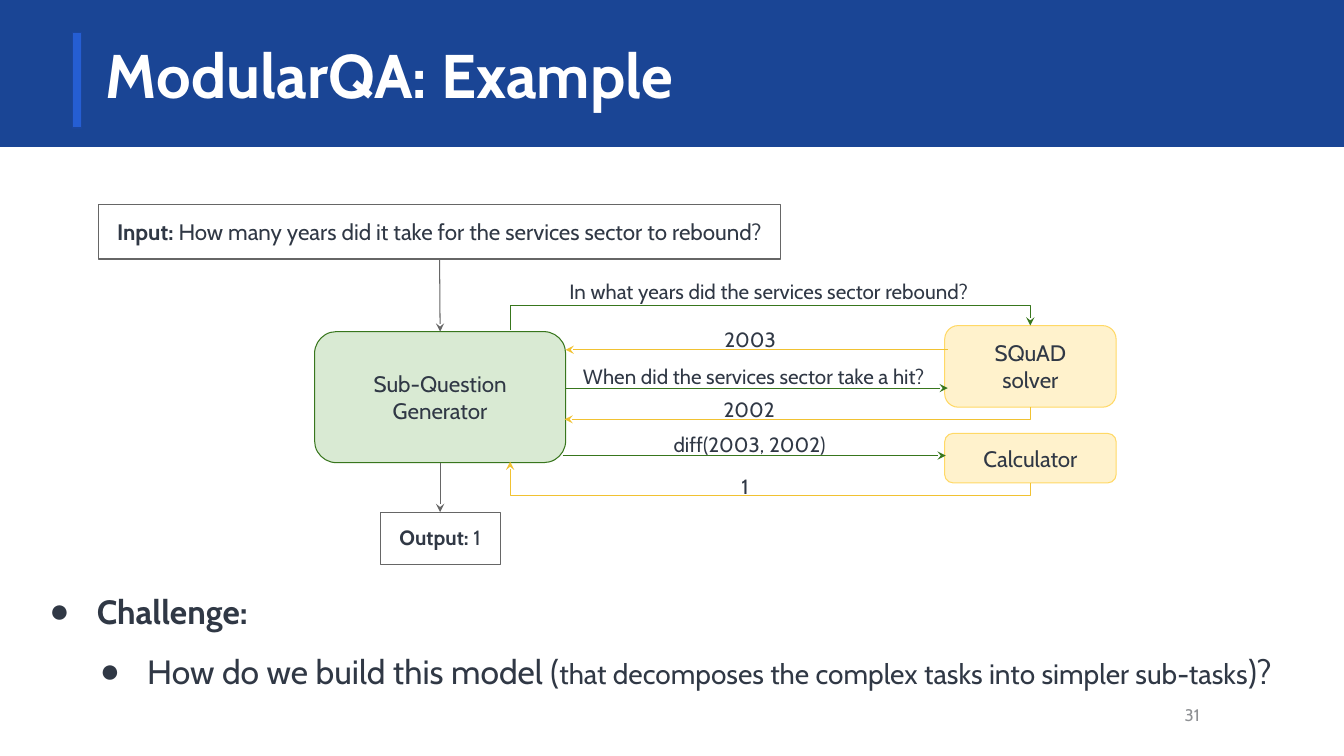
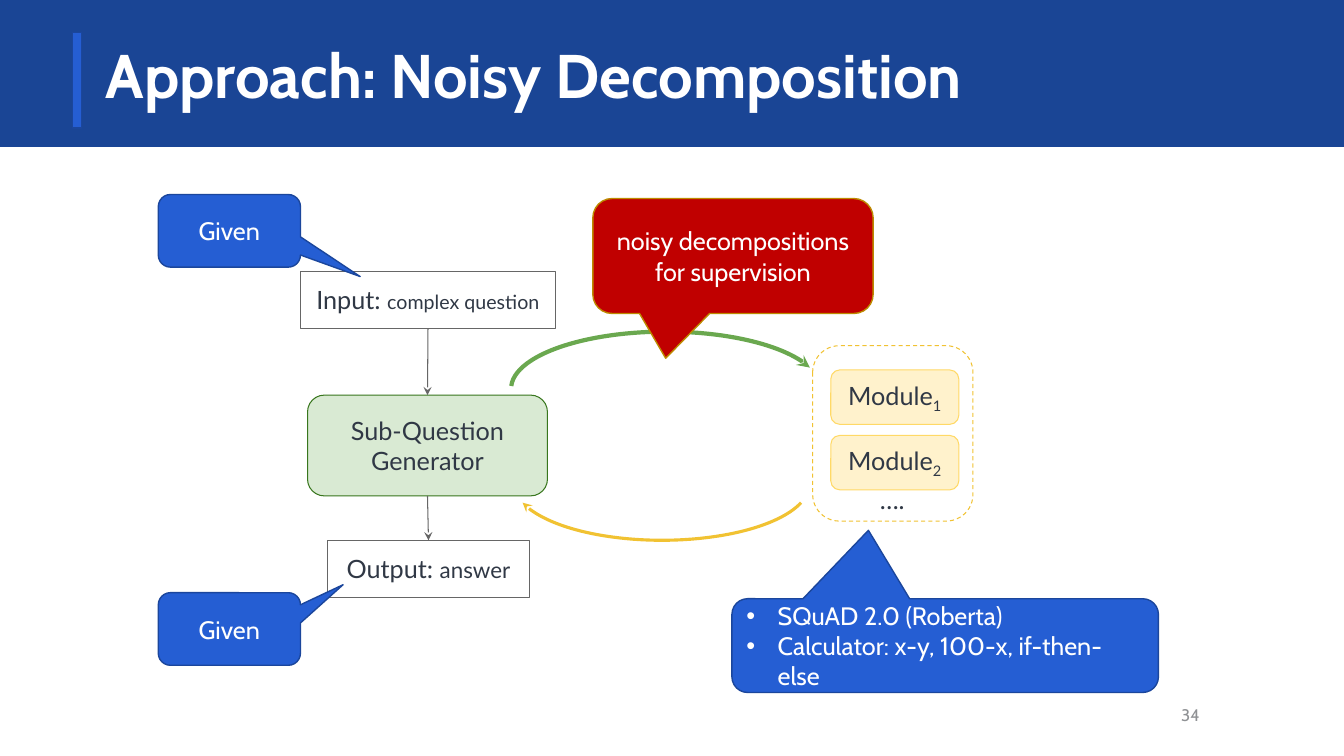
from dataclasses import dataclass
from typing import NamedTuple, Optional

from lxml.etree import SubElement
from pptx import Presentation
from pptx.dml.color import RGBColor
from pptx.enum.dml import MSO_LINE
from pptx.enum.shapes import MSO_CONNECTOR, MSO_SHAPE
from pptx.enum.text import MSO_ANCHOR, MSO_AUTO_SIZE, PP_ALIGN
from pptx.oxml.ns import qn
from pptx.util import Inches, Pt

NAVY = RGBColor(0x1A, 0x45, 0x95)
BLUE = RGBColor(0x25, 0x5E, 0xD3)
BLUE_EDGE = RGBColor(0x1B, 0x46, 0x9C)
RED = RGBColor(0xC0, 0x00, 0x00)
RED_EDGE = RGBColor(0xBD, 0x8A, 0x00)
GREEN = RGBColor(0x38, 0x76, 0x1D)
GREEN_ARC = RGBColor(0x6A, 0xA8, 0x4F)
GREEN_FILL = RGBColor(0xD9, 0xEA, 0xD3)
YELLOW = RGBColor(0xF1, 0xC2, 0x32)
YELLOW_EDGE = RGBColor(0xFF, 0xD9, 0x66)
YELLOW_FILL = RGBColor(0xFF, 0xF2, 0xCC)
INK = RGBColor(0x30, 0x38, 0x45)
GRAY = RGBColor(0x66, 0x66, 0x66)
NUMBER_GRAY = RGBColor(0x8F, 0x91, 0x94)
WHITE = RGBColor(0xFF, 0xFF, 0xFF)

CABIN, LATO = "Cabin", "Lato"
INSET = 0.13
THIN = 0.75


class Box(NamedTuple):
    left: float
    top: float
    width: float
    height: float


class Look(NamedTuple):
    fill: Optional[RGBColor]
    edge: RGBColor
    weight: float = THIN


class Run(NamedTuple):
    text: str
    size: Optional[float] = None
    bold: Optional[bool] = None
    subscript: bool = False


@dataclass(frozen=True)
class Label:
    text: str
    left: float
    top: float
    width: float


@dataclass(frozen=True)
class Arrow:
    start: tuple[float, float]
    end: tuple[float, float]
    color: RGBColor


@dataclass(frozen=True)
class Elbow:
    preset: str
    start: tuple[float, float]
    end: tuple[float, float]
    color: RGBColor
    arrow_at: str
    turn_y: Optional[float] = None


@dataclass(frozen=True)
class Arc:
    box: Box
    angles: tuple[float, float]
    look: Look
    rotation: int = 0


@dataclass(frozen=True)
class Callout:
    lines: list
    box: Box
    tip: tuple[float, float]
    look: Look
    bulleted: bool = False


PLAIN = Look(None, GRAY)
GENERATOR = Look(GREEN_FILL, GREEN)
SOLVER = Look(YELLOW_FILL, YELLOW_EDGE)
BLUE_CALLOUT = Look(BLUE, BLUE_EDGE, 1)
RED_CALLOUT = Look(RED, RED_EDGE, 1)

QUESTION_LABELS = [
    Label("In what years did the services sector rebound?", 5.4, 2.64, 4.45),
    Label("2003", 6.38, 3.11, 2.12),
    Label("When did the services sector take a hit?", 5.55, 3.48, 3.85),
    Label("2002", 6.71, 3.81, 1.44),
    Label("diff(2003, 2002)", 6.03, 4.15, 2.81),
    Label("1", 6.67, 4.57, 1.44),
]
QUESTION_ARROWS = [
    Arrow((9.4, 3.47), (5.61, 3.47), YELLOW),
    Arrow((5.61, 3.85), (9.4, 3.85), GREEN),
    Arrow((5.58, 4.52), (9.38, 4.52), GREEN),
]
QUESTION_ELBOWS = [
    Elbow("bentConnector4", (5.06, 3.27), (10.22, 3.23), GREEN, "tail", 3.03),
    Elbow("bentConnector2", (5.6, 4.16), (10.22, 4.04), YELLOW, "head"),
    Elbow("bentConnector4", (5.06, 4.58), (10.22, 4.79), YELLOW, "head", 4.92),
]
ARCS = [
    Arc(Box(5.1, 4.24, 2.93, 1.12), (112.62, 211.36), Look(None, YELLOW, 2.25), 180),
    Arc(Box(5.07, 3.29, 3.07, 1.13), (112.98, 215.43), Look(None, GREEN_ARC, 3)),
]
CALLOUTS = [
    Callout([[Run("Given")]], Box(1.57, 1.93, 1.41, 0.72), (0.92, 0.63), BLUE_CALLOUT),
    Callout([[Run("Given")]], Box(1.57, 5.88, 1.41, 0.72), (0.8, -0.61), BLUE_CALLOUT),
    Callout([[Run("noisy decompositions for supervision")]],
            Box(5.88, 1.97, 2.78, 1.14), (-0.24, 0.89), RED_CALLOUT),
    Callout([[Run("SQuAD 2.0 (Roberta)")],
             [Run("Calculator: x-y, 100-x, if-then-else")]],
            Box(7.26, 5.94, 4.23, 0.93), (-0.18, -1.23), BLUE_CALLOUT, True),
]


def inches(values) -> list:
    return [Inches(value) for value in values]


def add_bullet(paragraph, mark: str, color: RGBColor, left: float, hanging: float) -> None:
    properties = paragraph._p.get_or_add_pPr()
    properties.set("marL", str(Inches(left)))
    properties.set("indent", str(-Inches(hanging)))
    bullet_color = SubElement(properties, qn("a:buClr"))
    SubElement(bullet_color, qn("a:srgbClr"), val=str(color))
    SubElement(properties, qn("a:buFont"), typeface="Arial")
    SubElement(properties, qn("a:buChar"), char=mark)


def write(frame, lines: list, *, size: float, font: str = CABIN, color: RGBColor = INK,
          bold: bool = False, align=PP_ALIGN.CENTER, anchor=MSO_ANCHOR.TOP,
          inset: Optional[float] = INSET, bullet: str = "", indents: tuple = (),
          hanging: float = 0, spacings: tuple = ()) -> None:
    frame.word_wrap = True
    frame.auto_size = MSO_AUTO_SIZE.NONE
    frame.vertical_anchor = anchor
    if inset is not None:
        frame.margin_left = frame.margin_right = Inches(inset)
        frame.margin_top = frame.margin_bottom = Inches(inset)
    for index, runs in enumerate(lines):
        paragraph = frame.add_paragraph() if index else frame.paragraphs[0]
        if bullet:
            add_bullet(paragraph, bullet, color, indents[index], hanging)
        paragraph.alignment = align
        if spacings:
            paragraph.line_spacing = spacings[index]
        for part in runs:
            for position, piece in enumerate(part.text.split("\n")):
                if position:
                    paragraph.add_line_break()
                run = paragraph.add_run()
                run.text = piece
                run.font.name = font
                run.font.size = Pt(part.size or size)
                run.font.bold = bold if part.bold is None else part.bold
                run.font.color.rgb = color
                if part.subscript:
                    run._r.get_or_add_rPr().set("baseline", "-25000")


def add_box(slide, preset, box: Box, look: Look):
    shape = slide.shapes.add_shape(preset, *inches(box))
    shape.shadow.inherit = False
    if look.fill is None:
        shape.fill.background()
    else:
        shape.fill.solid()
        shape.fill.fore_color.rgb = look.fill
    shape.line.color.rgb = look.edge
    shape.line.width = Pt(look.weight)
    return shape


def add_node(slide, preset, box: Box, look: Look, runs: list, **text_format):
    node = add_box(slide, preset, box, look)
    write(node.text_frame, [runs], **text_format)
    return node


def add_text(slide, box: Box, lines: list, **text_format) -> None:
    write(slide.shapes.add_textbox(*inches(box)).text_frame, lines, **text_format)


def add_arrowhead(shape, end: str) -> None:
    SubElement(shape.element.spPr.get_or_add_ln(), qn(f"a:{end}End"), type="stealth")


def add_line(slide, kind, start, end, color: RGBColor, arrow_at: str = "tail"):
    connector = slide.shapes.add_connector(kind, *inches((*start, *end)))
    connector.line.color.rgb = color
    connector.line.width = Pt(THIN)
    add_arrowhead(connector, arrow_at)
    SubElement(connector.element.spPr, qn("a:effectLst"))
    return connector


def join_down(slide, upper, lower) -> None:
    connector = add_line(slide, MSO_CONNECTOR.STRAIGHT, (0, 0), (1, 1), GRAY)
    connector.begin_connect(upper, 2)
    connector.end_connect(lower, 0)


def add_elbow(slide, elbow: Elbow) -> None:
    connector = add_line(slide, MSO_CONNECTOR.ELBOW, elbow.start, elbow.end,
                         elbow.color, elbow.arrow_at)
    geometry = connector.element.spPr.find(qn("a:prstGeom"))
    geometry.set("prst", elbow.preset)
    if elbow.turn_y is not None:
        start_y, end_y = elbow.start[1], elbow.end[1]
        turn = round((elbow.turn_y - start_y) / (end_y - start_y) * 100000)
        guides = geometry.find(qn("a:avLst"))
        for name, value in (("adj1", 0), ("adj2", turn)):
            SubElement(guides, qn("a:gd"), name=name, fmla=f"val {value}")


def add_arc(slide, arc: Arc) -> None:
    shape = add_box(slide, MSO_SHAPE.ARC, arc.box, arc.look)
    shape.adjustments[0], shape.adjustments[1] = arc.angles
    shape.rotation = arc.rotation
    shape.element.spPr.find(qn("a:xfrm")).set("flipH", "1")
    add_arrowhead(shape, "head")


def add_callout(slide, callout: Callout) -> None:
    shape = add_box(slide, MSO_SHAPE.ROUNDED_RECTANGULAR_CALLOUT, callout.box, callout.look)
    shape.adjustments[0], shape.adjustments[1] = callout.tip
    bullets = dict(align=PP_ALIGN.LEFT, bullet="•", hanging=0.31,
                   indents=(0.31,) * len(callout.lines)) if callout.bulleted else {}
    write(shape.text_frame, callout.lines, size=18, color=WHITE,
          anchor=MSO_ANCHOR.MIDDLE, inset=None, **bullets)


def add_bands(layout, slide) -> None:
    band = add_box(slide, MSO_SHAPE.RECTANGLE, Box(0, 0, 13.33, 1.45), Look(NAVY, NAVY, 1))
    accent = add_box(slide, MSO_SHAPE.RECTANGLE, Box(0.72, 0.32, 0.09, 0.95), BLUE_CALLOUT)
    for position, part in enumerate((band, accent), start=2):
        layout.shapes.element.insert(position, part.element)


def add_titled_slide(deck, layout, title: str, number: str):
    slide = deck.slides.add_slide(layout)
    heading = slide.shapes.title
    heading.left, heading.top, heading.width, heading.height = inches((0.92, 0.32, 11.5, 1.05))
    write(heading.text_frame, [[Run(title)]], size=44, color=WHITE, bold=True,
          align=PP_ALIGN.LEFT, spacings=(0.9,))
    add_text(slide, Box(11.45, 6.89, 0.58, 0.4), [[Run(number)]], size=12,
             color=NUMBER_GRAY, align=PP_ALIGN.RIGHT, anchor=MSO_ANCHOR.MIDDLE)
    return slide


def draw_example(slide) -> None:
    middle = dict(size=16, anchor=MSO_ANCHOR.MIDDLE)
    rounded = MSO_SHAPE.ROUNDED_RECTANGLE
    question = add_node(slide, MSO_SHAPE.RECTANGLE, Box(0.98, 2.03, 6.76, 0.54), PLAIN, [
        Run("Input: ", bold=True),
        Run("How many years did it take for the services sector to rebound?")], size=16)
    answer = add_node(slide, MSO_SHAPE.RECTANGLE, Box(3.77, 5.08, 1.19, 0.52), PLAIN,
                      [Run("Output: ", bold=True), Run("1")], size=14.7)
    generator = add_node(slide, rounded, Box(3.12, 3.29, 2.49, 1.3), GENERATOR,
                         [Run("Sub-Question Generator")], **middle)
    add_node(slide, rounded, Box(9.37, 3.23, 1.7, 0.81), SOLVER,
             [Run("SQuAD\nsolver")], **middle)
    add_node(slide, rounded, Box(9.37, 4.3, 1.7, 0.49), SOLVER, [Run("Calculator")], **middle)
    join_down(slide, question, generator)
    join_down(slide, generator, answer)
    for arrow in QUESTION_ARROWS:
        add_line(slide, MSO_CONNECTOR.STRAIGHT, arrow.start, arrow.end, arrow.color)
    for elbow in QUESTION_ELBOWS:
        add_elbow(slide, elbow)
    for label in QUESTION_LABELS:
        add_text(slide, Box(label.left, label.top, label.width, 0.52),
                 [[Run(label.text)]], size=14.7)
    add_text(slide, Box(0.16, 5.73, 12.72, 1.28), [
        [Run("Challenge:", bold=True)],
        [Run("How do we build this model ("),
         Run("that decomposes the complex tasks into simpler sub-tasks", 20), Run(")?")],
    ], size=24, align=PP_ALIGN.LEFT, bullet="●", indents=(0.67, 1.17), hanging=0.47,
        spacings=(1.0, 1.5))


def draw_approach(slide) -> None:
    lato = dict(size=18, font=LATO)
    rounded = MSO_SHAPE.ROUNDED_RECTANGLE
    modules = add_box(slide, rounded, Box(8.06, 3.43, 1.59, 1.74), Look(None, YELLOW))
    modules.line.dash_style = MSO_LINE.DASH
    generator = add_node(slide, rounded, Box(3.05, 3.92, 2.38, 1), GENERATOR,
                         [Run("Sub-Question Generator")], anchor=MSO_ANCHOR.MIDDLE, **lato)
    for index in range(2):
        add_node(slide, rounded, Box(8.24, 3.67 + 0.65 * index, 1.27, 0.54), SOLVER,
                 [Run("Module"), Run(str(index + 1), subscript=True)],
                 anchor=MSO_ANCHOR.MIDDLE, **lato)
    for arc in ARCS:
        add_arc(slide, arc)
    question = add_node(slide, MSO_SHAPE.RECTANGLE, Box(2.98, 2.69, 2.53, 0.57), PLAIN,
                        [Run("Input: "), Run("complex question", 14)], **lato)
    answer = add_node(slide, MSO_SHAPE.RECTANGLE, Box(3.25, 5.36, 2, 0.57), PLAIN,
                      [Run("Output: "), Run("answer", 16)], **lato)
    join_down(slide, question, generator)
    join_down(slide, generator, answer)
    add_text(slide, Box(8.4, 4.68, 0.9, 0.57), [[Run("….")]], **lato)
    for callout in CALLOUTS:
        add_callout(slide, callout)


def main() -> None:
    deck = Presentation()
    deck.slide_width, deck.slide_height = Inches(13.33), Inches(7.5)
    layout = deck.slide_layouts[5]
    example = add_titled_slide(deck, layout, "ModularQA: Example", "31")
    add_bands(layout, example)
    draw_example(example)
    draw_approach(add_titled_slide(deck, layout, "Approach: Noisy Decomposition", "34"))
    deck.save("out.pptx")


if __name__ == "__main__":
    main()
